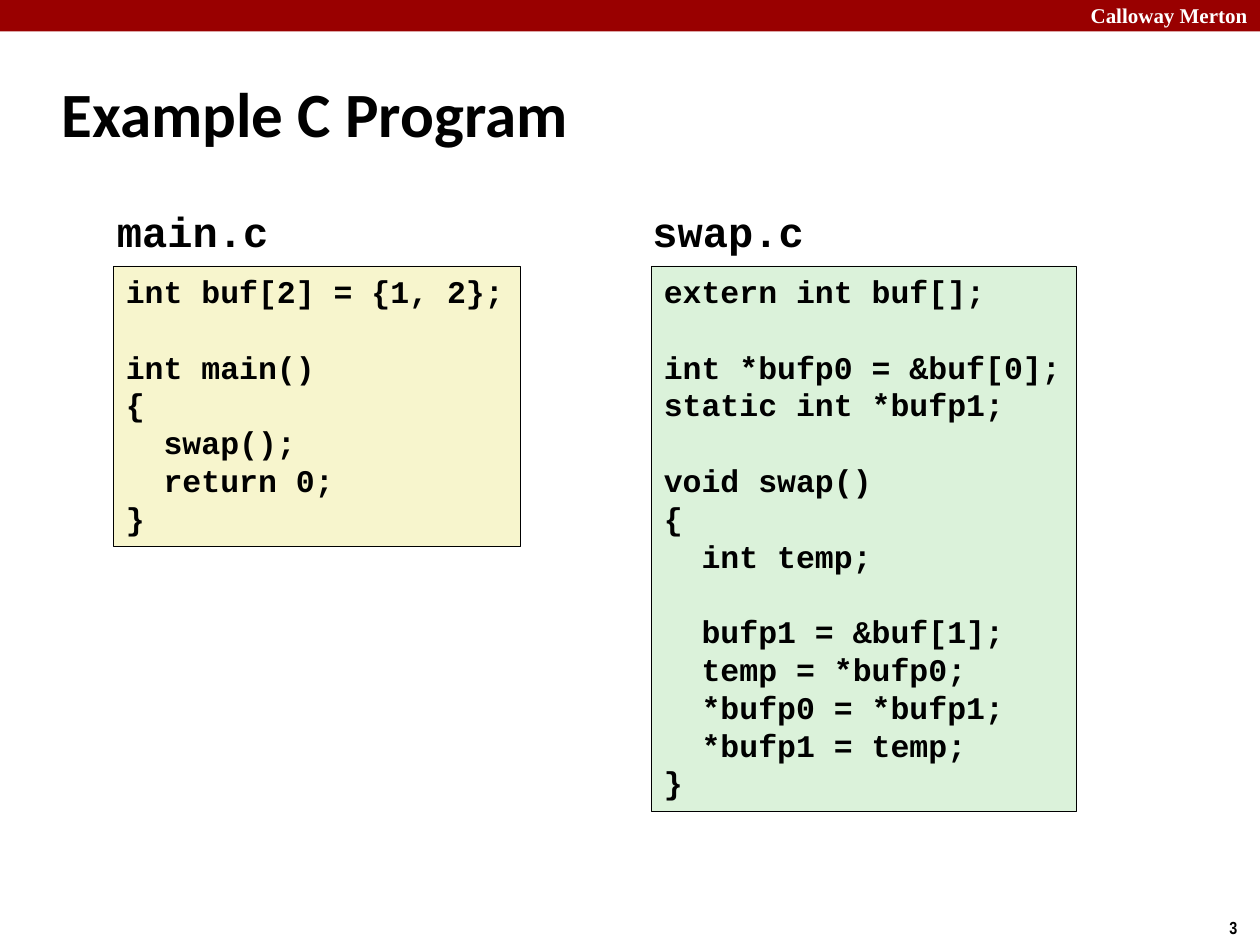
from pptx import Presentation
from pptx.dml.color import RGBColor
from pptx.enum.shapes import MSO_SHAPE as Shape
from pptx.enum.text import MSO_ANCHOR as Anchor, PP_ALIGN as Align
from pptx.util import Inches, Pt

BLACK = RGBColor(0x00, 0x00, 0x00)
WHITE = RGBColor(0xFF, 0xFF, 0xFF)
RED = RGBColor(0x99, 0x00, 0x00)
CREAM = RGBColor(0xF7, 0xF5, 0xCD)
MINT = RGBColor(0xDB, 0xF2, 0xDA)

TITLE = "Example C Program"
SCHOOL = "Calloway Merton"
PAGE_NUMBER = "3"

MAIN_CODE = """int buf[2] = {1, 2};

int main()
{
  swap();
  return 0;
}"""

SWAP_CODE = """extern int buf[];

int *bufp0 = &buf[0];
static int *bufp1;

void swap()
{
  int temp;

  bufp1 = &buf[1];
  temp = *bufp0;
  *bufp0 = *bufp1;
  *bufp1 = temp;
}"""

LISTINGS = [
    {"file": "main.c", "code": MAIN_CODE, "fill": CREAM,
     "left": 0.9, "width": 3.23, "label_left": 0.83},
    {"file": "swap.c", "code": SWAP_CODE, "fill": MINT,
     "left": 5.17, "width": 3.37, "label_left": 5.08},
]

LABEL_TOP, LABEL_WIDTH, LABEL_HEIGHT = 1.58, 1.42, 0.5
CODE_TOP, CODE_SIZE, LINE_PITCH, CHAR_WIDTH, PADDING = 2.11, 18, 0.3, 0.15, 0.13


def style(para, name, size, color=BLACK, align=Align.LEFT):
    para.alignment = align
    font = para.font
    font.name, font.size, font.bold = name, Pt(size), True
    font.color.rgb = color


def add_text(page, text, place, name, size, color=BLACK, align=Align.LEFT):
    box = page.shapes.add_textbox(*map(Inches, place))
    box.text_frame.word_wrap = False
    para = box.text_frame.paragraphs[0]
    para.text = text
    style(para, name, size, color, align)


def add_panel(page, place, fill, line=None):
    panel = page.shapes.add_shape(Shape.RECTANGLE, *map(Inches, place))
    panel.shadow.inherit = False
    panel.fill.solid()
    panel.fill.fore_color.rgb = fill
    if line is None:
        panel.line.fill.background()
    else:
        panel.line.color.rgb = line
        panel.line.width = Pt(0.25)
    return panel


def add_code(page, listing):
    lines = listing["code"].split("\n")
    height = len(lines) * LINE_PITCH + PADDING
    place = (listing["left"], CODE_TOP, listing["width"], height)
    frame = add_panel(page, place, listing["fill"], BLACK).text_frame
    frame.word_wrap = False
    frame.vertical_anchor = Anchor.TOP
    para = frame.paragraphs[0]
    for number, line in enumerate(lines):
        if not line:
            continue
        if number:
            para = frame.add_paragraph()
        para.text = line.lstrip()
        style(para, "Courier New", CODE_SIZE)
        para.line_spacing = Inches(LINE_PITCH)
        if number and not lines[number - 1]:
            para.space_before = Inches(LINE_PITCH)
        indent = len(line) - len(line.lstrip())
        if indent:
            properties = para._p.get_or_add_pPr()
            properties.set("marL", str(Inches(indent * CHAR_WIDTH)))
            properties.set("indent", "0")


def main():
    deck = Presentation()
    deck.slide_width, deck.slide_height = Inches(10), Inches(7.5)
    page = deck.slides.add_slide(deck.slide_layouts[5])

    add_panel(page, (0, 0, 10, 0.25), RED)
    add_text(page, SCHOOL, (8, -0.03, 2, 0.3), "Times New Roman", 12, WHITE, Align.RIGHT)
    add_text(page, PAGE_NUMBER, (9.66, 7.23, 0.34, 0.27), "Arial Narrow", 10)

    title = page.shapes.title
    title.left, title.top, title.width, title.height = map(Inches, (0.39, 0.48, 8.3, 0.83))
    title.text_frame.text = TITLE
    title.text_frame.vertical_anchor = Anchor.MIDDLE
    style(title.text_frame.paragraphs[0], "Calibri", 36)

    for listing in LISTINGS:
        label_place = (listing["label_left"], LABEL_TOP, LABEL_WIDTH, LABEL_HEIGHT)
        add_text(page, listing["file"], label_place, "Courier New", 24)
        add_code(page, listing)

    deck.save("out.pptx")


if __name__ == "__main__":
    main()
